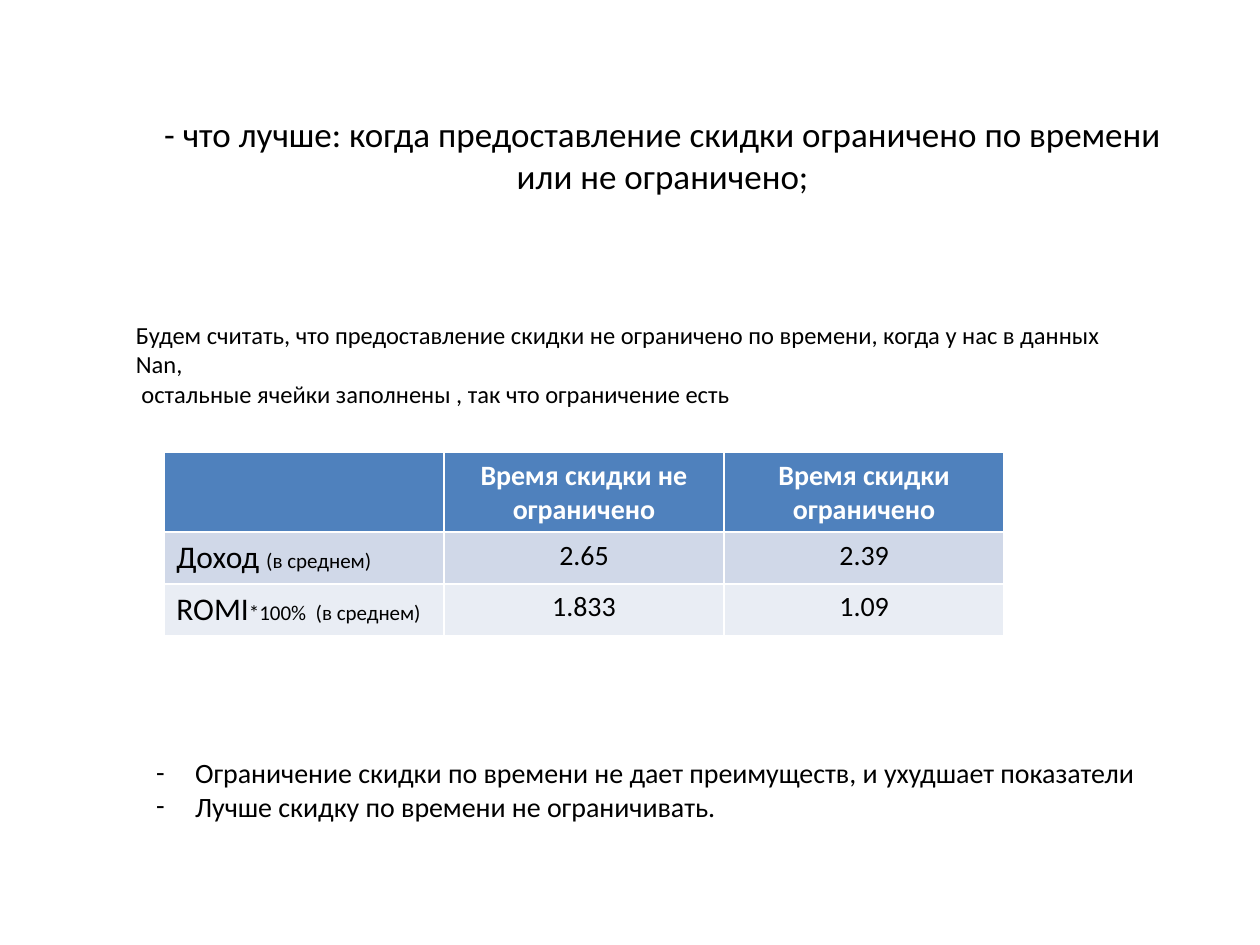
"""Build a slide comparing time-limited and unlimited discounts."""
from lxml.etree import SubElement
from pptx import Presentation
from pptx.dml.color import RGBColor
from pptx.enum.text import PP_ALIGN
from pptx.oxml.ns import qn
from pptx.util import Inches, Pt

COLORS = {
    "text": "000000",
    "header_text": "FFFFFF",
    "header": "4F81BD",
    "odd_row": "D0D8E8",
    "even_row": "E9EDF4",
}


def write_paragraph(frame, runs, first=True, color="text", bold=False,
                    align=PP_ALIGN.LEFT, margin=0, indent=0, bullet=None):
    paragraph = frame.paragraphs[0] if first else frame.add_paragraph()
    paragraph.alignment = align
    properties = paragraph._p.get_or_add_pPr()
    properties.set("marL", str(Inches(margin)))
    properties.set("indent", str(Inches(indent)))
    if bullet:
        SubElement(properties, qn("a:buFont")).set("typeface", "Calibri")
        SubElement(properties, qn("a:buChar")).set("char", bullet)
    for text, size in runs:
        run = paragraph.add_run()
        run.text = text
        run.font.name = "Calibri"
        run.font.size = Pt(size)
        run.font.bold = bold
        run.font.color.rgb = RGBColor.from_string(COLORS[color])


presentation = Presentation()
presentation.slide_width = Inches(10)
presentation.slide_height = Inches(7.5)
slide = presentation.slides.add_slide(presentation.slide_layouts[6])

question = ["- что лучше: когда предоставление скидки ограничено по времени или не ограничено;"]
conclusions = [
    "Ограничение скидки по времени не дает преимуществ, и ухудшает показатели",
    "Лучше скидку по времени не ограничивать.",
]
assumption = [
    "Будем считать, что предоставление скидки не ограничено по времени, когда у нас в данных Nan,",
    " остальные ячейки заполнены , так что ограничение есть",
]
text_boxes = [
    ((0.51, 0.84, 9, 0.74), question, 20, {"align": PP_ALIGN.CENTER, "margin": 0.5}),
    ((1.14, 5.95, 8.11, 0.64), conclusions, 16,
     {"margin": 0.31, "indent": -0.31, "bullet": "-"}),
    ((0.98, 2.49, 8.19, 0.81), assumption, 14, {}),
]
for position, lines, size, style in text_boxes:
    text_box = slide.shapes.add_textbox(*map(Inches, position))
    text_box.text_frame.word_wrap = True
    for number, line in enumerate(lines):
        write_paragraph(text_box.text_frame, [(line, size)], first=number == 0, **style)

rows = [
    ("header", [[], [("Время скидки не ограничено", 16)], [("Время скидки ограничено", 16)]]),
    ("odd_row", [[("Доход ", 18), ("(в среднем)", 12)], [("2.65", 16)], [("2.39", 16)]]),
    ("even_row", [[("ROMI", 18), ("*100%  (в среднем)", 12)], [("1.833", 16)], [("1.09", 16)]]),
]
table = slide.shapes.add_table(
    len(rows), 3, Inches(1.3), Inches(3.59), Inches(6.67), Inches(1.23)).table
for row_index, (fill, cells) in enumerate(rows):
    table.rows[row_index].height = Inches(0.41)
    is_header = fill == "header"
    for column_index, runs in enumerate(cells):
        cell = table.cell(row_index, column_index)
        cell.fill.solid()
        cell.fill.fore_color.rgb = RGBColor.from_string(COLORS[fill])
        write_paragraph(
            cell.text_frame, runs, bold=is_header,
            color="header_text" if is_header else "text",
            align=PP_ALIGN.CENTER if column_index else PP_ALIGN.LEFT)

presentation.save("out.pptx")
